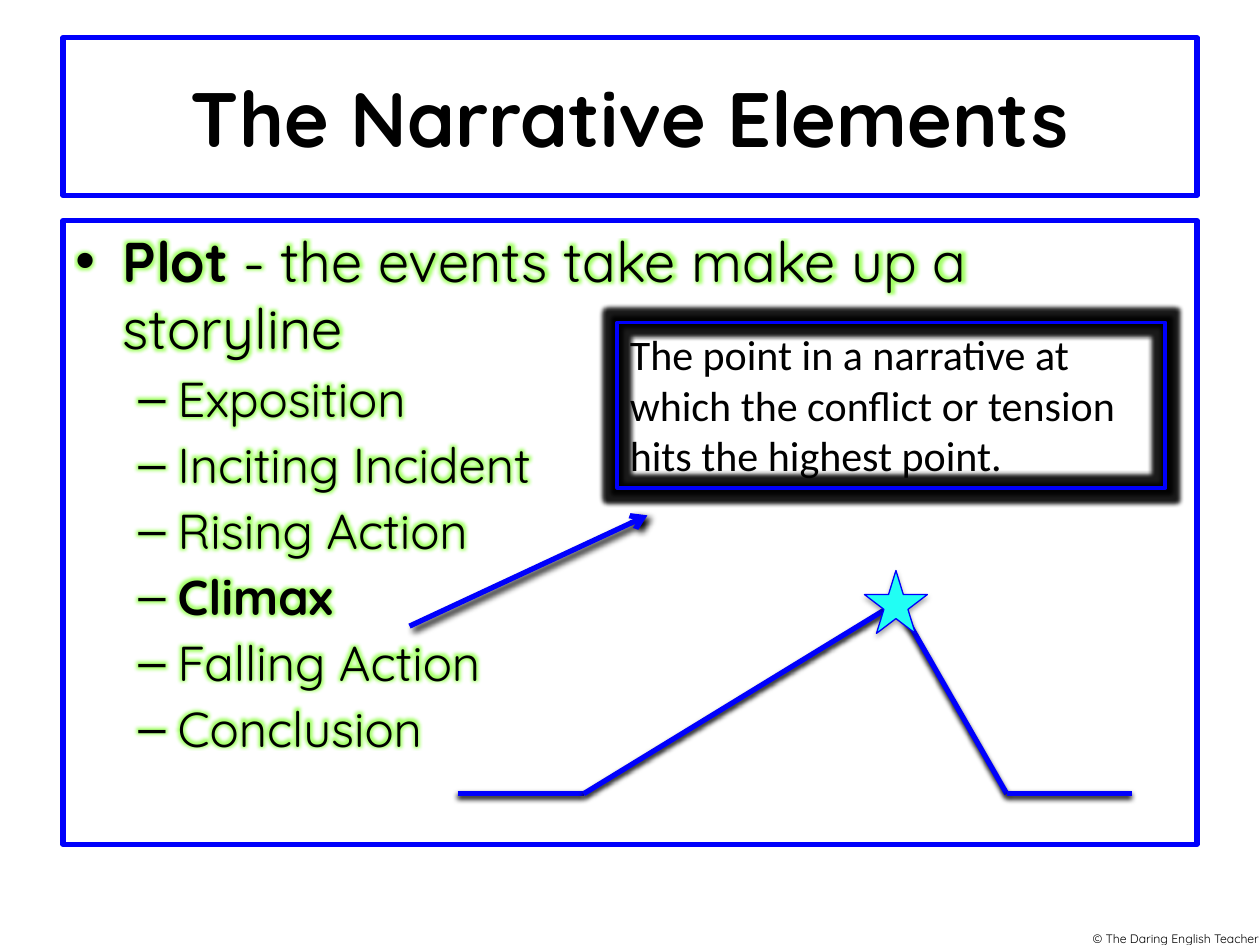
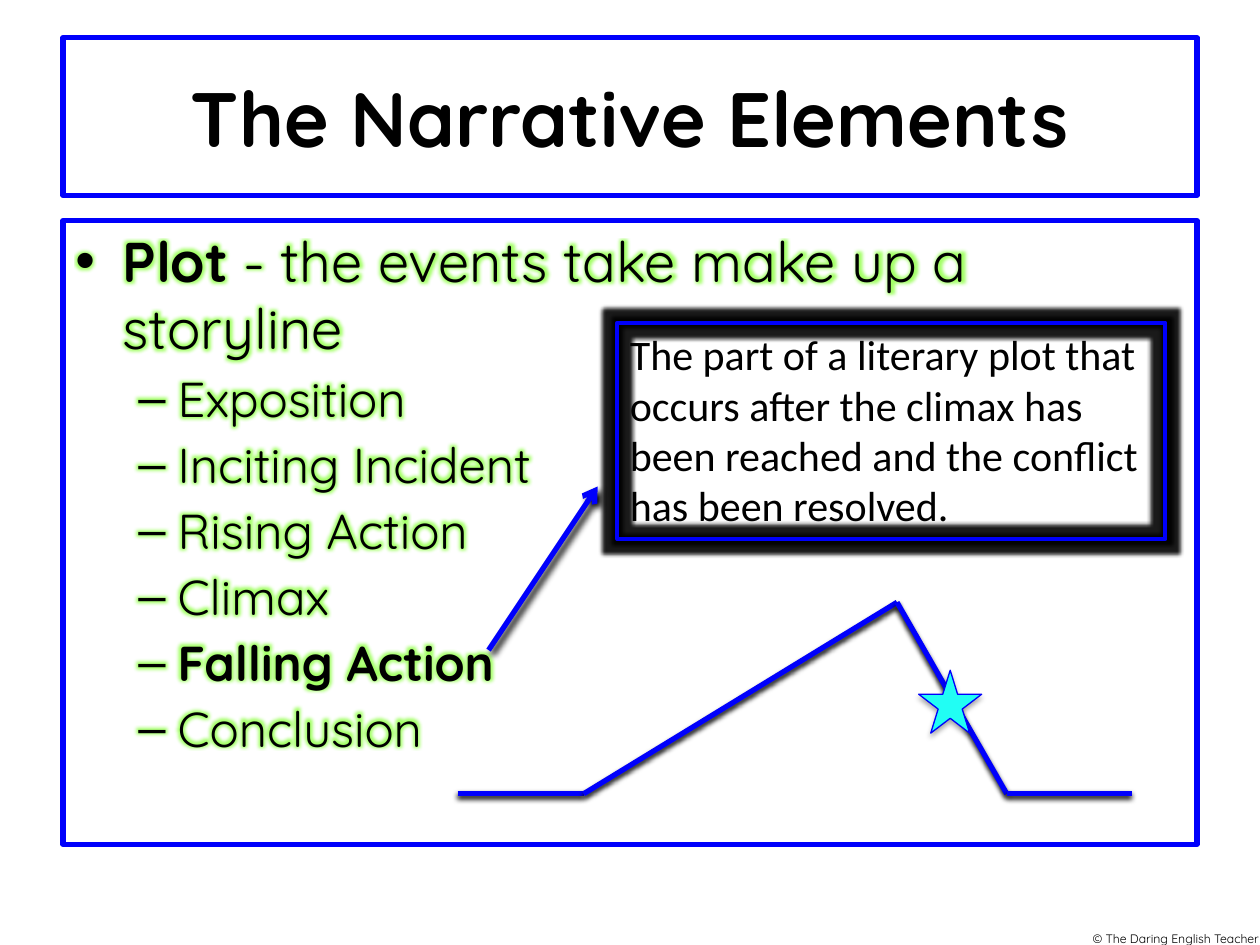
from itertools import pairwise

from lxml import etree
from pptx import Presentation
from pptx.dml.color import RGBColor
from pptx.enum.shapes import MSO_CONNECTOR, MSO_SHAPE
from pptx.enum.text import MSO_ANCHOR, MSO_AUTO_SIZE, PP_ALIGN
from pptx.oxml.ns import qn
from pptx.util import Pt

STRAIGHT = MSO_CONNECTOR.STRAIGHT
STAR = MSO_SHAPE.STAR_5_POINT
MIDDLE = MSO_ANCHOR.MIDDLE
GROW = MSO_AUTO_SIZE.SHAPE_TO_FIT_TEXT
CENTER, RIGHT = PP_ALIGN.CENTER, PP_ALIGN.RIGHT

COLOURS = {"paper": "FFFFFF", "ink": "000000", "blue": "0000FC",
           "star": "21FEF4", "lime": "66FF00"}

# Text formats shared by both slides
TITLE = {"name": "Quicksand", "size": Pt(44), "bold": True}
TERM = {"name": "Quicksand", "size": Pt(32), "bold": True}
MEANING = TERM | {"bold": False}
STAGE = {"name": "Quicksand", "size": Pt(28), "bold": False}
DEFINITION = {"name": "Calibri", "size": Pt(24)}
FOOTER = {"name": "Quicksand", "size": Pt(7)}

# Bullet levels: character, left margin and hanging indent
PLOT_BULLET = ("•", 27, -27)
STAGE_BULLET = ("–", 58.5, -22.5)

# Shadows: opacity in percent, blur, distance, angle
ARROW_SHADOW = (100, 4, 3, 45)
PLOT_SHADOW = (100, 3.1, 1.6, 90)
STAR_SHADOW = (35, 3.1, 1.8, 90)

STAGES = ["Exposition", "Inciting Incident", "Rising Action",
          "Climax", "Falling Action", "Conclusion"]
PLOT_POINTS = [(261.5, 453.6), (333.5, 453.6), (512.6, 344.2),
               (575.3, 453.6), (646.6, 453.6)]
STAR_SIZE = 36

PAGES = [
    {"stage": "Climax",
     "definition": "The point in a narrative at which the conflict or "
                   "tension hits the highest point.",
     "height": 94.5, "arrow": [(234, 357.8), (370, 294.5)],
     "star": (494, 326)},
    {"stage": "Falling Action",
     "definition": "The part of a literary plot that occurs after the climax "
                   "has been reached and the conflict has been resolved.",
     "height": 123.8, "arrow": [(279.2, 371.5), (341.5, 278)],
     "star": (525, 383)},
]


def colour(name):
    return RGBColor.from_string(COLOURS[name])


def set_line(item, width):
    item.line.color.rgb = colour("blue")
    item.line.width = Pt(width)


def add_effect(effects, kind, colour_name, opacity, **lengths):
    """Put a shadow or glow into an effect list."""
    effect = etree.SubElement(effects, qn(f"a:{kind}"),
                              {key: str(int(value)) for key, value in lengths.items()})
    tint = etree.SubElement(effect, qn("a:srgbClr"), val=COLOURS[colour_name])
    etree.SubElement(tint, qn("a:alpha"), val=str(opacity * 1000))


def shape_effects(item):
    """Return the effect list of a shape or connector."""
    properties = item._element.spPr
    effects = properties.find(qn("a:effectLst"))
    if effects is None:
        effects = etree.SubElement(properties, qn("a:effectLst"))
    return effects


def add_shadow(item, shadow):
    opacity, blur, distance, angle = shadow
    add_effect(shape_effects(item), "outerShdw", "ink", opacity,
               blurRad=Pt(blur), dist=Pt(distance), dir=angle * 60000)


def add_span(para, text, style, glow=False):
    span = para.add_run()
    span.text = text
    for key, value in style.items():
        setattr(span.font, key, value)
    span.font.color.rgb = colour("ink")
    if glow:
        effects = etree.Element(qn("a:effectLst"))
        add_effect(effects, "glow", "lime", 60, rad=Pt(5))
        span._r.rPr.find(qn("a:solidFill")).addnext(effects)


def add_bullet(para, bullet):
    mark, margin, indent = bullet
    properties = para._p.get_or_add_pPr()
    properties.set("marL", str(Pt(margin)))
    properties.set("indent", str(Pt(indent)))
    etree.SubElement(properties, qn("a:buFont"), typeface="Arial")
    etree.SubElement(properties, qn("a:buChar"), char=mark)


def add_box(page, left, top, width, height, line=None, fill=None):
    box = page.shapes.add_textbox(Pt(left), Pt(top), Pt(width), Pt(height))
    box.text_frame.word_wrap = True
    if fill:
        box.fill.solid()
        box.fill.fore_color.rgb = colour(fill)
    if line:
        set_line(box, line)
    return box


def add_line(page, start, end, shadow, arrow=False):
    line = page.shapes.add_connector(STRAIGHT, *map(Pt, start + end))
    set_line(line, 3)
    if arrow:
        etree.SubElement(line.line._get_or_add_ln(), qn("a:tailEnd"), type="arrow")
    add_shadow(line, shadow)


def add_frame(page):
    """Footer and title, the same on every slide."""
    footer = add_box(page, 567.4, 528.5, 159, 15.8)
    para = footer.text_frame.paragraphs[0]
    para.alignment = RIGHT
    add_span(para, "© The Daring English Teacher", FOOTER)

    title = add_box(page, 36, 21.6, 648, 90, line=3, fill="paper")
    title.text_frame.vertical_anchor = MIDDLE
    para = title.text_frame.paragraphs[0]
    para.alignment = CENTER
    add_span(para, "The Narrative Elements", TITLE)


def add_outline(page, current):
    """Glowing list of plot stages with the current one in bold."""
    frame = add_box(page, 36, 126, 648, 356.4, line=3, fill="paper").text_frame
    para = frame.paragraphs[0]
    add_bullet(para, PLOT_BULLET)
    add_span(para, "Plot", TERM, glow=True)
    add_span(para, " - the events take make up a storyline", MEANING, glow=True)
    for stage in STAGES:
        para = frame.add_paragraph()
        para.level = 1
        para.space_before = Pt(4.1)
        add_bullet(para, STAGE_BULLET)
        add_span(para, stage, STAGE | {"bold": stage == current}, glow=True)


def add_definition(page, text, height):
    box = add_box(page, 352.8, 184.3, 313.2, height, line=2.25)
    box.text_frame.auto_size = GROW
    add_effect(shape_effects(box), "glow", "ink", 90, rad=Pt(5))
    add_span(box.text_frame.paragraphs[0], text, DEFINITION)


def add_plot_diagram(page, star_corner):
    for start, end in pairwise(PLOT_POINTS):
        add_line(page, start, end, PLOT_SHADOW)
    star = page.shapes.add_shape(STAR, *map(Pt, star_corner),
                                 Pt(STAR_SIZE), Pt(STAR_SIZE))
    star.shadow.inherit = False
    star.fill.solid()
    star.fill.fore_color.rgb = colour("star")
    set_line(star, 0.75)
    add_shadow(star, STAR_SHADOW)


def main():
    deck = Presentation()
    deck.slide_width, deck.slide_height = Pt(720), Pt(540)
    for content in PAGES:
        page = deck.slides.add_slide(deck.slide_layouts[6])
        add_frame(page)
        add_outline(page, content["stage"])
        add_line(page, *content["arrow"], ARROW_SHADOW, arrow=True)
        add_definition(page, content["definition"], content["height"])
        add_plot_diagram(page, content["star"])
    deck.save("out.pptx")


if __name__ == "__main__":
    main()
